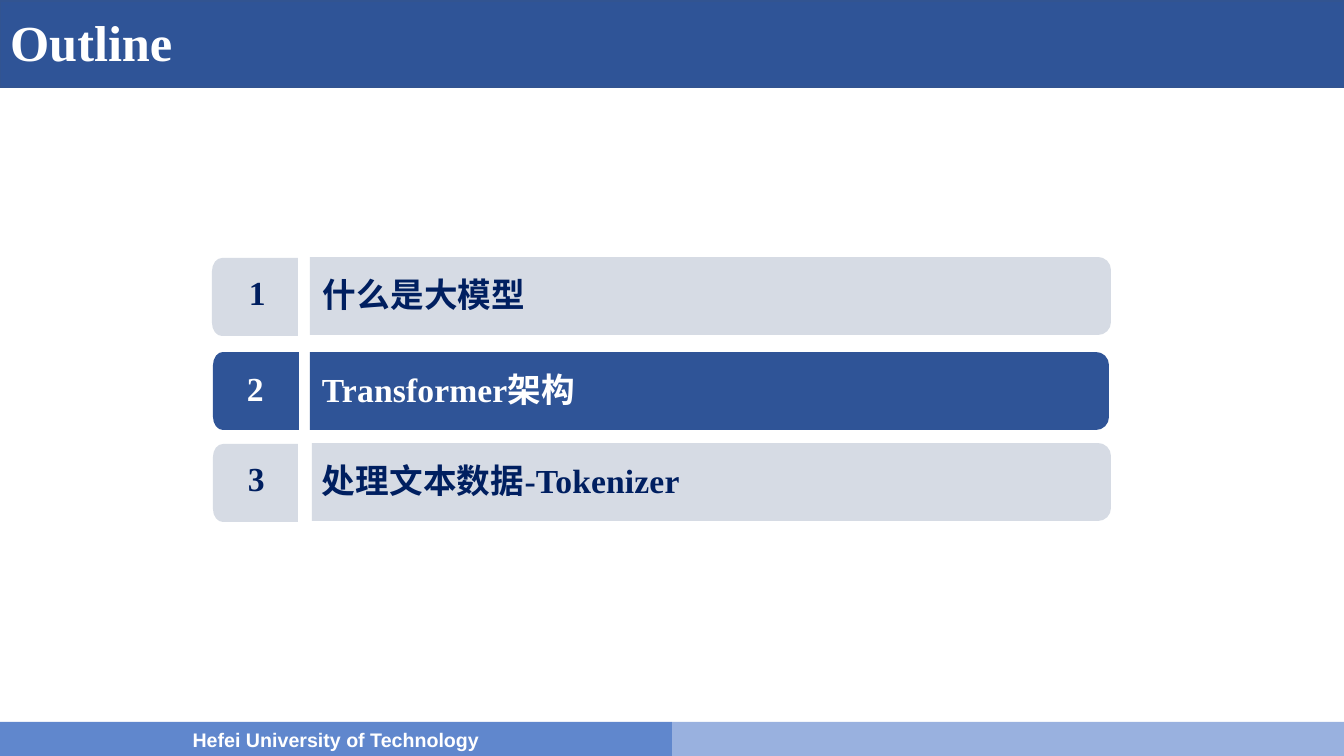
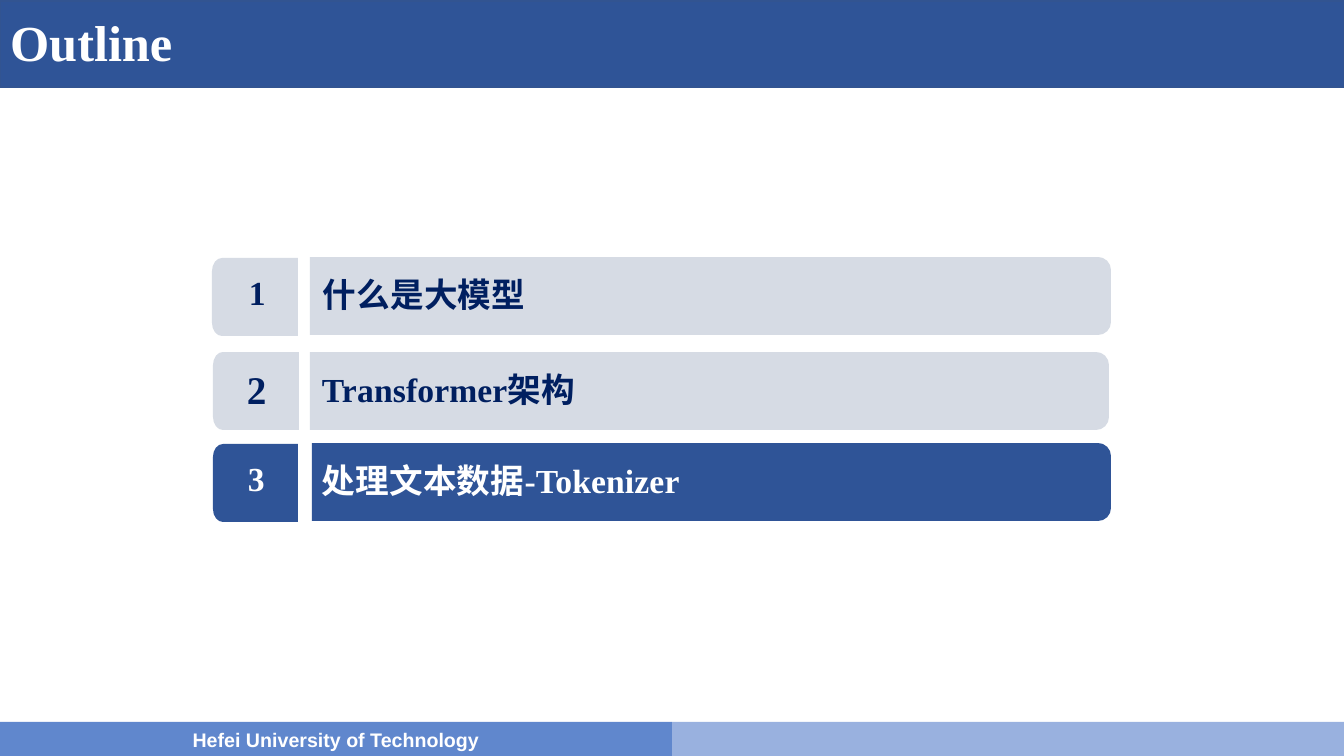
import math

from pptx import Presentation
from pptx.dml import color
from pptx.enum import shapes, text
from pptx.util import Pt

SCALE = 914400 / 100.8
WIDTH, HEIGHT = 1344, 756
BLUE, EDGE, MID, LIGHT = "2F5497", "325491", "6087CD", "99B1DF"
GREY, NAVY, WHITE = "D6DBE4", "001F60", "FFFFFF"
SERIF, SANS = "Times New Roman", "Arial"

ROWS = [
    {"name": "什么是大模型", "tab": (212, 258, 86, 78), "bar": (310, 257, 801, 78),
     "number": (248, 270, 19, 42), "label": (322, 272, 789, 42)},
    {"name": "Transformer架构", "tab": (213, 352, 86, 78), "bar": (310, 352, 799, 78),
     "number": (246, 366, 19, 42), "label": (321, 367, 789, 42)},
    {"name": "处理文本数据-Tokenizer", "tab": (213, 444, 85, 78), "bar": (312, 443, 799, 78),
     "number": (247, 456, 19, 42), "label": (321, 458, 716, 42)},
]


def px(n):
    return round(n * SCALE)


def rgb(value):
    return color.RGBColor.from_string(value)


def paint(sp, fill, line=None):
    sp.shadow.inherit = False
    sp.fill.solid()
    sp.fill.fore_color.rgb = rgb(fill)
    if line:
        sp.line.color.rgb = rgb(line)
        sp.line.width = Pt(1)
    else:
        sp.line.fill.background()


def add_run(p, words, font, size, ink):
    r = p.add_run()
    r.text = words
    r.font.name, r.font.size, r.font.bold = font, Pt(size), True
    r.font.color.rgb = rgb(ink)
    return r


def add_band(slide, box, fill, line=None):
    sp = slide.shapes.add_shape(shapes.MSO_SHAPE.RECTANGLE, *map(px, box))
    paint(sp, fill, line)
    return sp


def add_frame(slide, layout):
    half = WIDTH // 2
    header = add_band(slide, (0, 1, WIDTH, 86), BLUE, EDGE)
    right = add_band(slide, (half, 722, half, 35), LIGHT)
    left = add_band(slide, (0, 722, half, 35), MID)
    tf = left.text_frame
    tf.vertical_anchor = text.MSO_ANCHOR.MIDDLE
    p = tf.paragraphs[0]
    p.alignment = text.PP_ALIGN.CENTER
    add_run(p, "Hefei University of Technology", SANS, 14, WHITE)
    for i, sp in enumerate((header, right, left)):
        layout.shapes.element.insert(2 + i, sp.element)


def set_title(slide, words):
    sp = slide.shapes.title
    sp.left, sp.top, sp.width, sp.height = map(px, (0, 2, 1301, 86))
    tf = sp.text_frame
    tf.auto_size = text.MSO_AUTO_SIZE.NONE
    tf.vertical_anchor = text.MSO_ANCHOR.MIDDLE
    p = tf.paragraphs[0]
    p.alignment = text.PP_ALIGN.LEFT
    p.line_spacing = 0.9
    add_run(p, words, SERIF, 36, WHITE)


def add_half_round(slide, box, fill, radius, round_left):
    x, y, w, h = box
    flat, end, side = (x + w, x, 1) if round_left else (x, x + w, -1)
    points = [(flat, y)]
    for cy, start in ((y + 13, 90), (y + h - 13, 0)):
        for step in range(5):
            a = math.radians(start - step * 22.5)
            points.append((end + side * radius * (1 - math.cos(a)), cy - 13 * math.sin(a)))
    points.append((flat, y + h))
    points = [(px(a), px(b)) for a, b in points]
    builder = slide.shapes.build_freeform(*points[0], scale=1.0)
    builder.add_line_segments(points[1:], close=True)
    paint(builder.convert_to_shape(), fill)


def add_text(slide, box, words, size, ink):
    tf = slide.shapes.add_textbox(*map(px, box)).text_frame
    tf.word_wrap = True
    tf.auto_size = text.MSO_AUTO_SIZE.SHAPE_TO_FIT_TEXT
    tf.vertical_anchor = text.MSO_ANCHOR.MIDDLE
    tf.margin_left = tf.margin_right = tf.margin_bottom = 0
    tf.margin_top = px(2)
    p = tf.paragraphs[0]
    p.space_before = Pt(1.3)
    p._p.get_or_add_pPr().set("marL", str(px(1)))
    r = add_run(p, words, SERIF, size, ink)
    r._r.get_or_add_rPr().set("spc", "10")


def add_row(slide, number, row, active, size):
    fill, ink = (BLUE, WHITE) if active else (GREY, NAVY)
    add_half_round(slide, row["tab"], fill, 10, True)
    add_half_round(slide, row["bar"], fill, 13, False)
    x, y, w, h = row["number"]
    grow = 7 if size > 24 else 0
    add_text(slide, (x, y - grow // 2, w, h + grow), str(number), size, ink)
    add_text(slide, row["label"], row["name"], 24, ink)


def add_outline(prs, layout, current, sizes):
    slide = prs.slides.add_slide(layout)
    set_title(slide, "Outline")
    for number, (row, size) in enumerate(zip(ROWS, sizes), 1):
        add_row(slide, number, row, number == current, size)
    return slide


def main():
    prs = Presentation()
    prs.slide_width, prs.slide_height = px(WIDTH), px(HEIGHT)
    layout = prs.slide_layouts.get_by_name("Title Only")
    first = add_outline(prs, layout, 2, (24, 24, 24))
    add_frame(first, layout)
    add_outline(prs, layout, 3, (24, 28, 24))
    prs.save("out.pptx")


if __name__ == "__main__":
    main()
